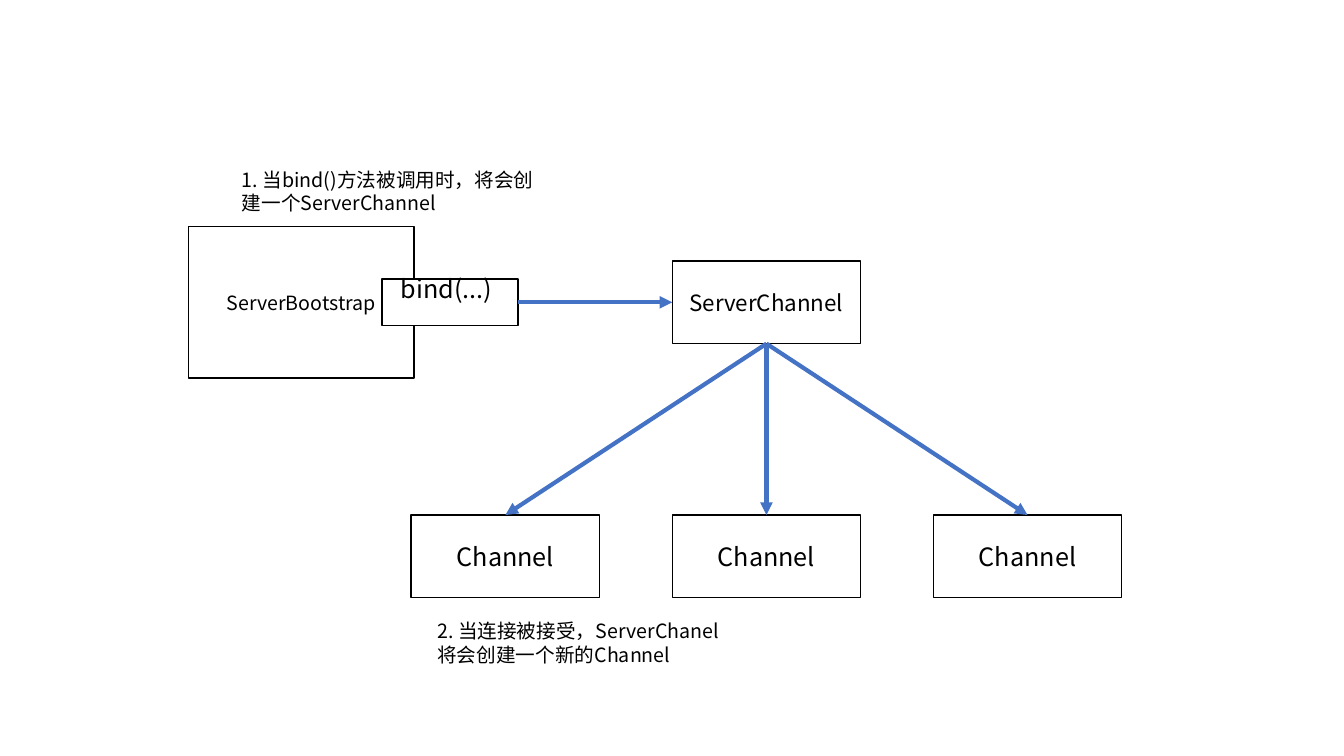
from dataclasses import dataclass

from lxml import etree
from pptx import Presentation
from pptx.dml.color import RGBColor
from pptx.enum.shapes import MSO_CONNECTOR, MSO_SHAPE
from pptx.enum.text import MSO_ANCHOR, PP_ALIGN
from pptx.oxml.ns import qn
from pptx.util import Pt

RECT = MSO_SHAPE.RECTANGLE
STRAIGHT = MSO_CONNECTOR.STRAIGHT
MIDDLE = MSO_ANCHOR.MIDDLE
CENTER = PP_ALIGN.CENTER
FONT = "Noto Sans CJK SC"
COLORS = {"paper": "FFFFFF", "ink": "000000", "arrow": "4472C4"}


@dataclass
class Box:
    """A labelled rectangle, measured in points."""
    text: str
    left: float
    top: float
    width: float
    height: float
    size: float
    right_inset: float = 7.2
    bottom_inset: float = 3.6

    @property
    def center_x(self) -> float:
        """Horizontal middle."""
        return self.left + self.width / 2

    @property
    def center_y(self) -> float:
        """Vertical middle."""
        return self.top + self.height / 2

    @property
    def right(self) -> float:
        """Right edge."""
        return self.left + self.width

    @property
    def bottom(self) -> float:
        """Bottom edge."""
        return self.top + self.height


@dataclass
class Note:
    """A numbered explanation, placed in points."""
    text: str
    left: float
    top: float


@dataclass
class Arrow:
    """A straight arrow between two points."""
    x1: float
    y1: float
    x2: float
    y2: float


def rgb(name: str) -> RGBColor:
    """Look up a named colour."""
    return RGBColor.from_string(COLORS[name])


def style_text(p, size: float) -> None:
    """Format every run for Latin and East Asian text."""
    for r in p.runs:
        r.font.size = Pt(size)
        r.font.name = FONT
        r.font.color.rgb = rgb("ink")
        etree.SubElement(r.font._element, qn("a:ea"), typeface=FONT)


def add_box(slide, box: Box) -> None:
    """Draw an outlined rectangle with a centred label."""
    sp = slide.shapes.add_shape(RECT, Pt(box.left), Pt(box.top),
                                Pt(box.width), Pt(box.height))
    sp.shadow.inherit = False
    sp.fill.solid()
    sp.fill.fore_color.rgb = rgb("paper")
    sp.line.color.rgb = rgb("ink")
    sp.line.width = Pt(1)
    tf = sp.text_frame
    tf.text = box.text
    tf.word_wrap = True
    tf.vertical_anchor = MIDDLE
    tf.margin_right = Pt(box.right_inset)
    tf.margin_bottom = Pt(box.bottom_inset)
    p = tf.paragraphs[0]
    p.alignment = CENTER
    style_text(p, box.size)


def add_note(slide, note: Note) -> None:
    """Draw a wrapped two-line explanation."""
    sp = slide.shapes.add_textbox(Pt(note.left), Pt(note.top), Pt(229), Pt(41))
    tf = sp.text_frame
    tf.text = note.text
    tf.word_wrap = True
    p = tf.paragraphs[0]
    p.line_spacing = Pt(17)
    style_text(p, 14)


def add_arrow(slide, arrow: Arrow) -> None:
    """Draw a line with a triangular head at its end."""
    cxn = slide.shapes.add_connector(STRAIGHT, Pt(arrow.x1), Pt(arrow.y1),
                                     Pt(arrow.x2), Pt(arrow.y2))
    cxn.line.color.rgb = rgb("arrow")
    cxn.line.width = Pt(3)
    etree.SubElement(cxn.line._get_or_add_ln(), qn("a:tailEnd"), type="triangle")
    etree.SubElement(cxn._element.spPr, qn("a:effectLst"))


bootstrap = Box("ServerBootstrap", 134.6, 162, 161.3, 108, 14)
bind = Box("bind(...)", 272.9, 199.4, 97.2, 33.1, 18,
           right_inset=12.2, bottom_inset=24)
server = Box("ServerChannel", 480.2, 186.5, 134.6, 59, 16)
channels = [Box("Channel", server.left + offset * 186.5, 367.9,
                server.width, server.height, 18) for offset in (-1, 0, 1)]

arrows = [Arrow(bind.right, bind.center_y, server.left, bind.center_y)]
arrows += [Arrow(server.center_x, server.bottom, channel.center_x, channel.top)
           for channel in channels]

notes = [
    Note("1. 当bind()方法被调用时，将会创建一个ServerChannel", 165.6, 115.9),
    Note("2. 当连接被接受，ServerChanel将会创建一个新的Channel", 305.3, 438.5),
]

prs = Presentation()
prs.slide_width = Pt(960)
prs.slide_height = Pt(540)
slide = prs.slides.add_slide(prs.slide_layouts[6])
for box in [bootstrap, bind, server, *channels]:
    add_box(slide, box)
for arrow in arrows:
    add_arrow(slide, arrow)
for note in notes:
    add_note(slide, note)
prs.save("out.pptx")
